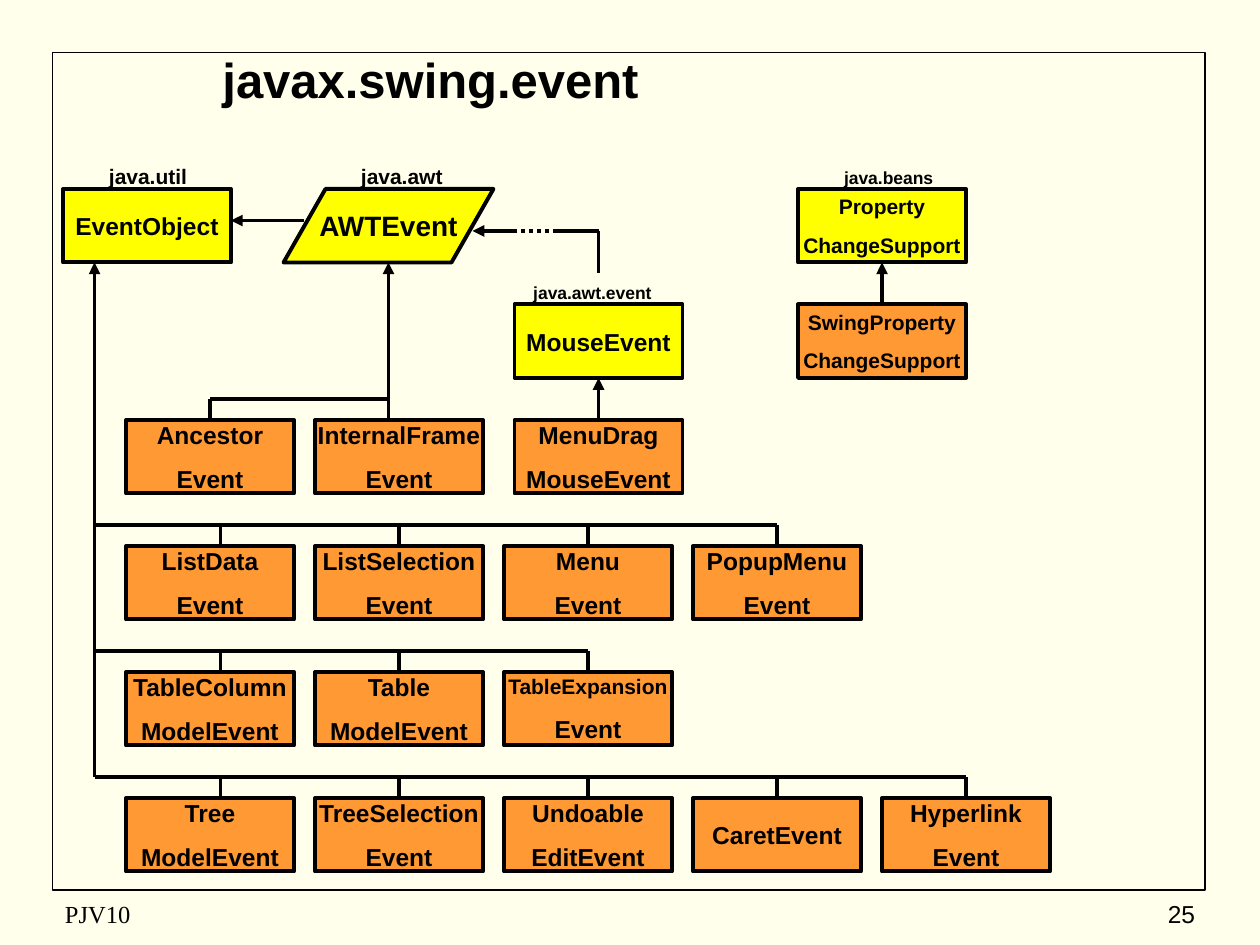
from lxml import etree
from pptx import Presentation
from pptx.dml.color import RGBColor
from pptx.enum.dml import MSO_LINE
from pptx.enum.shapes import MSO_CONNECTOR, MSO_SHAPE
from pptx.enum.text import MSO_ANCHOR, PP_ALIGN
from pptx.oxml.ns import qn
from pptx.util import Emu, Pt

RECTANGLE = MSO_SHAPE.RECTANGLE
PARALLELOGRAM = MSO_SHAPE.FLOWCHART_DATA
STRAIGHT = MSO_CONNECTOR.STRAIGHT
DOTTED = MSO_LINE.ROUND_DOT
MIDDLE, TOP = MSO_ANCHOR.MIDDLE, MSO_ANCHOR.TOP
LEFT, CENTER, RIGHT = PP_ALIGN.LEFT, PP_ALIGN.CENTER, PP_ALIGN.RIGHT

PX = 7620  # 120 px to the inch
COLORS = {"background": "FFFFEB", "ink": "000000", "base": "FFFF00", "swing": "FF9933"}
BOX_WIDTH, BOX_HEIGHT = 160, 70
COLUMN_LEFT, COLUMN_STEP = 120, 180
STEM = 20
TRUNK_X = 90
FIRST_STEM_X = 210

TITLE = "javax.swing.event"
# Rows of EventObject subclasses: top, then the lines of each box with their sizes
EVENT_ROWS = [
    (520, [[("ListData", 14), ("Event", 14)],
           [("ListSelection", 14), ("Event", 14)],
           [("Menu", 14), ("Event", 14)],
           [("PopupMenu", 14), ("Event", 14)]]),
    (640, [[("TableColumn", 14), ("ModelEvent", 14)],
           [("Table", 14), ("ModelEvent", 14)],
           [("TableExpansion", 12), ("Event", 14)]]),
    (760, [[("Tree", 14), ("ModelEvent", 14)],
           [("TreeSelection", 14), ("Event", 14)],
           [("Undoable", 14), ("EditEvent", 14)],
           [("CaretEvent", 14)],
           [("Hyperlink", 14), ("Event", 14)]]),
]
# left, top, colour, lines
OTHER_BOXES = [
    (60, 180, "base", [("EventObject", 14)]),
    (490, 290, "base", [("MouseEvent", 14)]),
    (760, 180, "base", [("Property", 12), ("ChangeSupport", 12)]),
    (760, 290, "swing", [("SwingProperty", 12), ("ChangeSupport", 12)]),
    (120, 400, "swing", [("Ancestor", 14), ("Event", 14)]),
    (300, 400, "swing", [("InternalFrame", 14), ("Event", 14)]),
    (490, 400, "swing", [("MenuDrag", 14), ("MouseEvent", 14)]),
]
# text, left, top, size
PACKAGE_LABELS = [
    ("java.util", 92, 150, 12),
    ("java.awt", 332, 150, 12),
    ("java.awt.event", 496, 263, 10),
    ("java.beans", 792, 153, 10),
]
# text, left, width, alignment, font
FOOTERS = [
    ("PJV10", 50, 380, LEFT, "Times New Roman"),
    ("25", 900, 250, RIGHT, "Arial"),
]
# from x, from y, to x, to y
ARROWS = [
    (370, 400, 370, 250),
    (570, 400, 570, 360),
    (840, 290, 840, 250),
    (TRUNK_X, 740, TRUNK_X, 250),
    (290, 210, 220, 210),
    (490, 220, 450, 220),
]
PLAIN_LINES = [
    (370, 380, 200, 380),
    (200, 400, 200, 380),
    (570, 220, 530, 220),
    (570, 260, 570, 220),
]
DOTTED_LINE = (530, 220, 490, 220)


def color(name):
    return RGBColor.from_string(COLORS[name])


def px(*values):
    return [Emu(value * PX) for value in values]


def write(shape, lines, align=CENTER, anchor=MIDDLE, wrap=False, bold=True, font="Arial"):
    """Fill a shape with one paragraph per (text, size) pair."""
    frame = shape.text_frame
    frame.word_wrap = wrap
    frame.vertical_anchor = anchor
    for index, (text, size) in enumerate(lines):
        paragraph = frame.paragraphs[0]
        if index:
            paragraph = frame.add_paragraph()
            paragraph.space_before = Pt(8.8 if size == 14 else 7.5)
        paragraph.alignment = align
        run = paragraph.add_run()
        run.text = text
        run.font.name = font
        run.font.size = Pt(size)
        run.font.bold = bold
        run.font.color.rgb = color("ink")


def add_box(slide, left, top, fill, lines, width=BOX_WIDTH, kind=RECTANGLE):
    box = slide.shapes.add_shape(kind, *px(left, top, width, BOX_HEIGHT))
    box.shadow.inherit = False
    box.fill.solid()
    box.fill.fore_color.rgb = color(fill)
    box.line.color.rgb = color("ink")
    box.line.width = Pt(2.25)
    write(box, lines)


def add_line(slide, ends, arrow=False, dash=None):
    connector = slide.shapes.add_connector(STRAIGHT, *px(*ends))
    connector.line.color.rgb = color("ink")
    connector.line.width = Pt(2.25)
    if dash:
        connector.line.dash_style = dash
    if arrow:
        etree.SubElement(connector.line._get_or_add_ln(), qn("a:tailEnd"), type="triangle")
    etree.SubElement(connector._element.spPr, qn("a:effectLst"))


def add_event_row(slide, top, boxes):
    """Draw a row of boxes hanging from a horizontal bar off the trunk."""
    bar_y = top - STEM
    for column, lines in enumerate(boxes):
        left = COLUMN_LEFT + column * COLUMN_STEP
        add_box(slide, left, top, "swing", lines)
        stem_x = left + BOX_WIDTH // 2 if column else FIRST_STEM_X
        add_line(slide, (stem_x, top, stem_x, bar_y))
    add_line(slide, (TRUNK_X, bar_y, stem_x, bar_y))


def add_text(slide, text, size, position, **style):
    write(slide.shapes.add_textbox(*px(*position)), [(text, size)], wrap=True, **style)


def main():
    presentation = Presentation()
    presentation.slide_width, presentation.slide_height = px(1200, 900)
    slide = presentation.slides.add_slide(presentation.slide_layouts[5])
    slide.background.fill.solid()
    slide.background.fill.fore_color.rgb = color("background")

    title = slide.shapes.title
    title.left, title.top, title.width, title.height = px(120, 40, 580, 70)
    write(title, [(TITLE, 28)], wrap=True)

    border = slide.shapes.add_shape(RECTANGLE, *px(50, 50, 1098, 798))
    border.shadow.inherit = False
    border.fill.background()
    border.line.color.rgb = color("ink")
    border.line.width = Pt(1)

    for text, left, width, align, font in FOOTERS:
        add_text(slide, text, 14, (left, 850, width, 40), align=align, bold=False, font=font)

    add_box(slide, 270, 180, "base", [("AWTEvent", 16)], width=200, kind=PARALLELOGRAM)
    for box in OTHER_BOXES:
        add_box(slide, *box)
    for top, boxes in EVENT_ROWS:
        add_event_row(slide, top, boxes)
    for ends in ARROWS:
        add_line(slide, ends, arrow=True)
    for ends in PLAIN_LINES:
        add_line(slide, ends)
    add_line(slide, DOTTED_LINE, dash=DOTTED)
    for text, left, top, size in PACKAGE_LABELS:
        add_text(slide, text, size, (left, top, 140, 36), align=LEFT, anchor=TOP)

    presentation.save("out.pptx")


if __name__ == "__main__":
    main()
